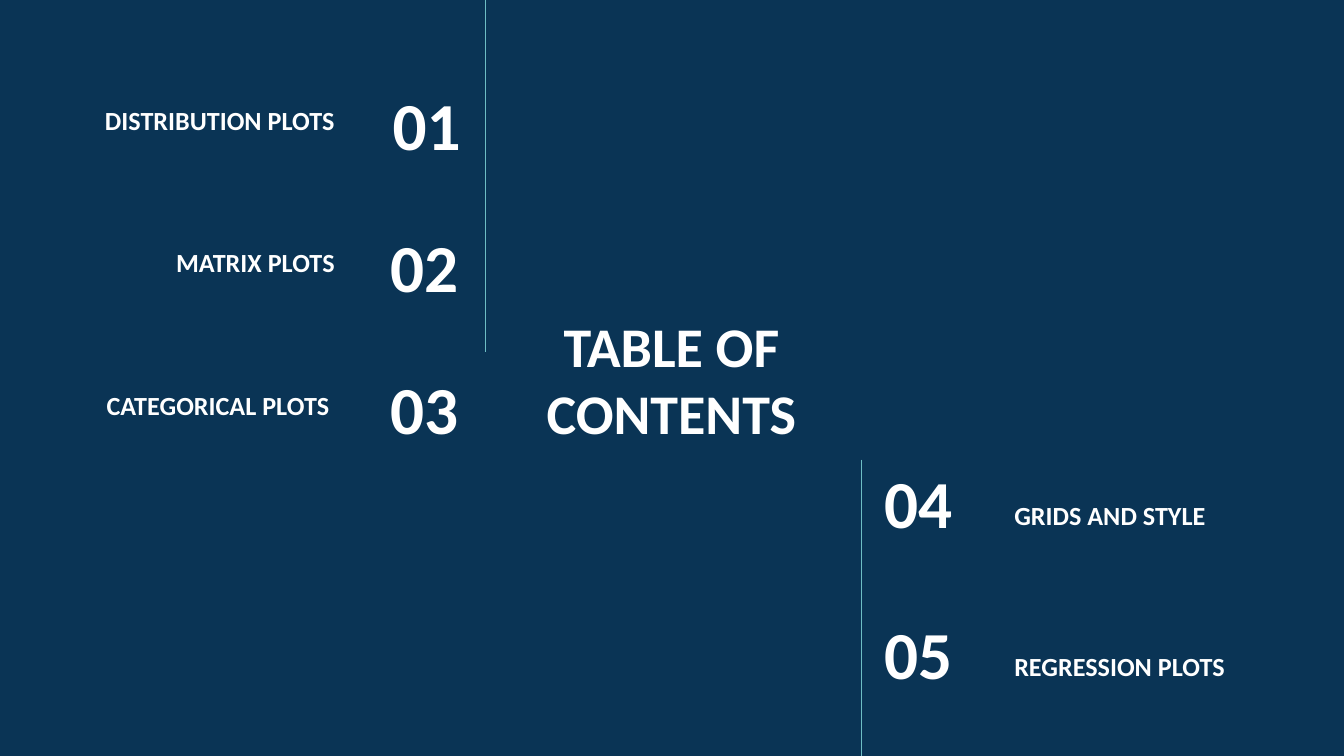
from lxml import etree
from pptx import Presentation
from pptx.dml.color import RGBColor
from pptx.enum.shapes import MSO_CONNECTOR
from pptx.enum.text import MSO_ANCHOR, MSO_AUTO_SIZE, PP_ALIGN
from pptx.oxml.ns import qn
from pptx.util import Cm, Pt

WIDTH, HEIGHT = 25.4, 14.29


def color(value):
    return RGBColor.from_string(value)


class Deck:
    font = "Calibri"
    background, text_color, accent = "0A3455", "FFFFFF", "6EBDC4"
    row_height = 1.6

    def __init__(self):
        self.prs = Presentation()
        self.prs.slide_width, self.prs.slide_height = Cm(WIDTH), Cm(HEIGHT)
        self.s = None

    def add_slide(self):
        self.s = self.prs.slides.add_slide(self.prs.slide_layouts[5])
        fill = self.s.background.fill
        fill.solid()
        fill.fore_color.rgb = color(self.background)

    def set_text(self, sp, text, size, align, anchor):
        tf = sp.text_frame
        tf.text = text
        tf.word_wrap = True
        tf.auto_size = MSO_AUTO_SIZE.NONE
        tf.vertical_anchor = anchor
        tf.margin_left = tf.margin_right = Cm(0.25)
        tf.margin_top = tf.margin_bottom = Cm(0.25)
        p = tf.paragraphs[0]
        p.alignment = align
        font = p.runs[0].font
        font.name, font.size, font.bold = self.font, Pt(size), True
        font.color.rgb = color(self.text_color)

    def title(self, text, left, top, width, height):
        sp = self.s.shapes.title
        sp.left, sp.top, sp.width, sp.height = map(Cm, (left, top, width, height))
        self.set_text(sp, text, 30, PP_ALIGN.CENTER, MSO_ANCHOR.MIDDLE)

    def text_box(self, text, left, top, width, size, align, anchor):
        sp = self.s.shapes.add_textbox(Cm(left), Cm(top), Cm(width), Cm(self.row_height))
        self.set_text(sp, text, size, align, anchor)

    def number(self, value, left, top, width, align):
        self.text_box(f"{value:02d}", left, top, width, 36, align, MSO_ANCHOR.MIDDLE)

    def label(self, text, left, top, align):
        self.text_box(text, left, top, 5.49, 14, align, MSO_ANCHOR.BOTTOM)

    def vertical_line(self, x, top, bottom):
        line = self.s.shapes.add_connector(
            MSO_CONNECTOR.STRAIGHT, Cm(x), Cm(top), Cm(x), Cm(bottom))
        line.line.color.rgb = color(self.accent)
        line.line.width = Pt(0.75)
        etree.SubElement(line._element.spPr, qn("a:effectLst"))


def main():
    deck = Deck()
    deck.add_slide()
    deck.title("TABLE OF CONTENTS", 9.4, 5.84, 6.58, 2.62)

    # Left column: label, then number, aligned to the line on their right
    left_rows = [("DISTRIBUTION PLOTS", 1.09, 5.89),
                 ("MATRIX PLOTS", 1.09, 5.84),
                 ("CATEGORICAL PLOTS", 0.99, 5.84)]
    for i, (text, label_left, number_left) in enumerate(left_rows):
        top = 1.22 + 2.69 * i
        deck.label(text, label_left, top, PP_ALIGN.RIGHT)
        deck.number(i + 1, number_left, top + 0.31, 3.07, PP_ALIGN.RIGHT)

    # Right column: number, then label
    right_top = 8.69
    for i, text in enumerate(["GRIDS AND STYLE", "REGRESSION PLOTS"]):
        top = right_top + 2.84 * i
        deck.number(len(left_rows) + i + 1, 16.46, top, 2.97, PP_ALIGN.LEFT)
        deck.label(text, 18.92, top, PP_ALIGN.LEFT)

    # Lines beside the columns
    deck.vertical_line(9.17, 0, 6.65)
    deck.vertical_line(16.28, right_top, HEIGHT)

    deck.prs.save("out.pptx")


if __name__ == "__main__":
    main()
